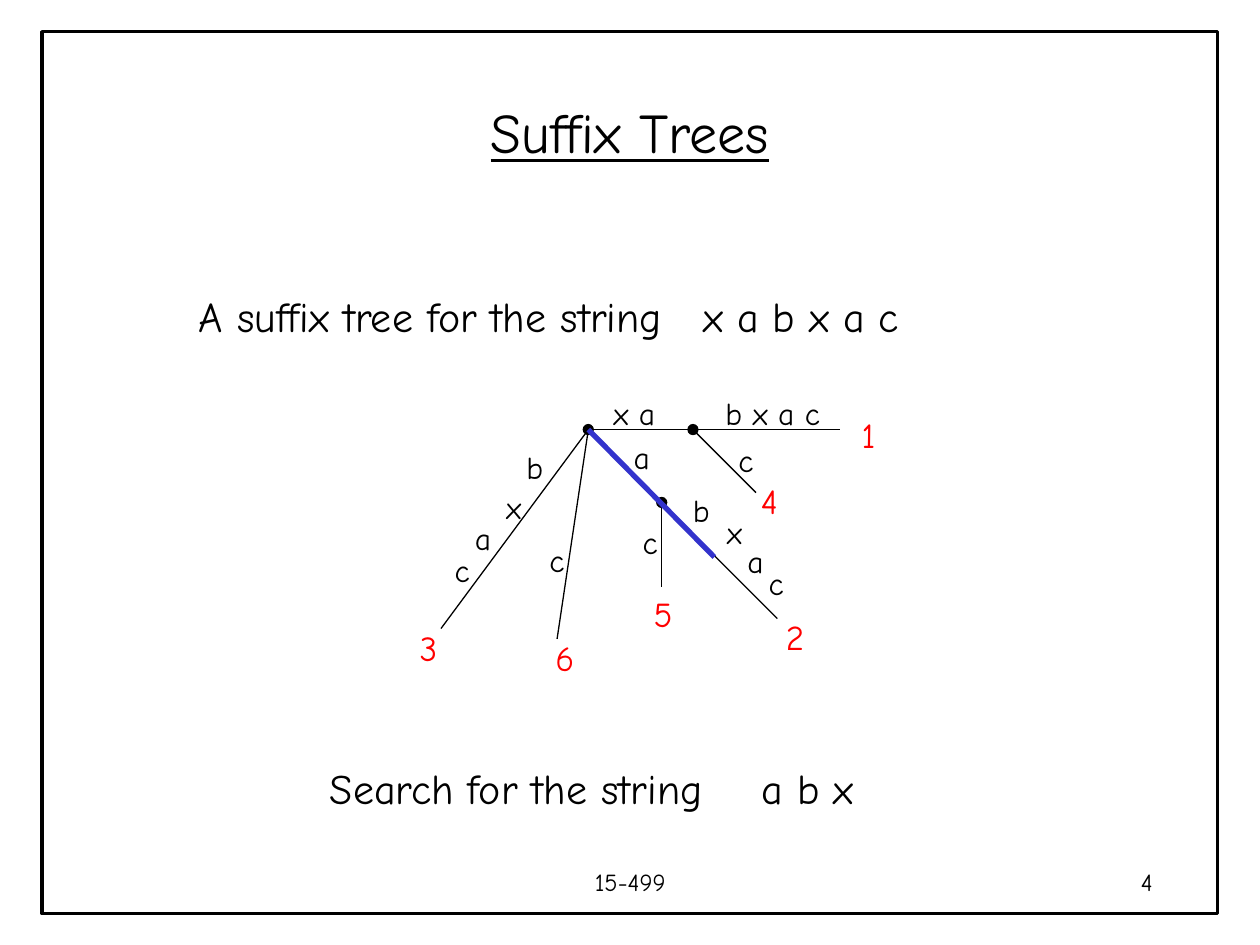
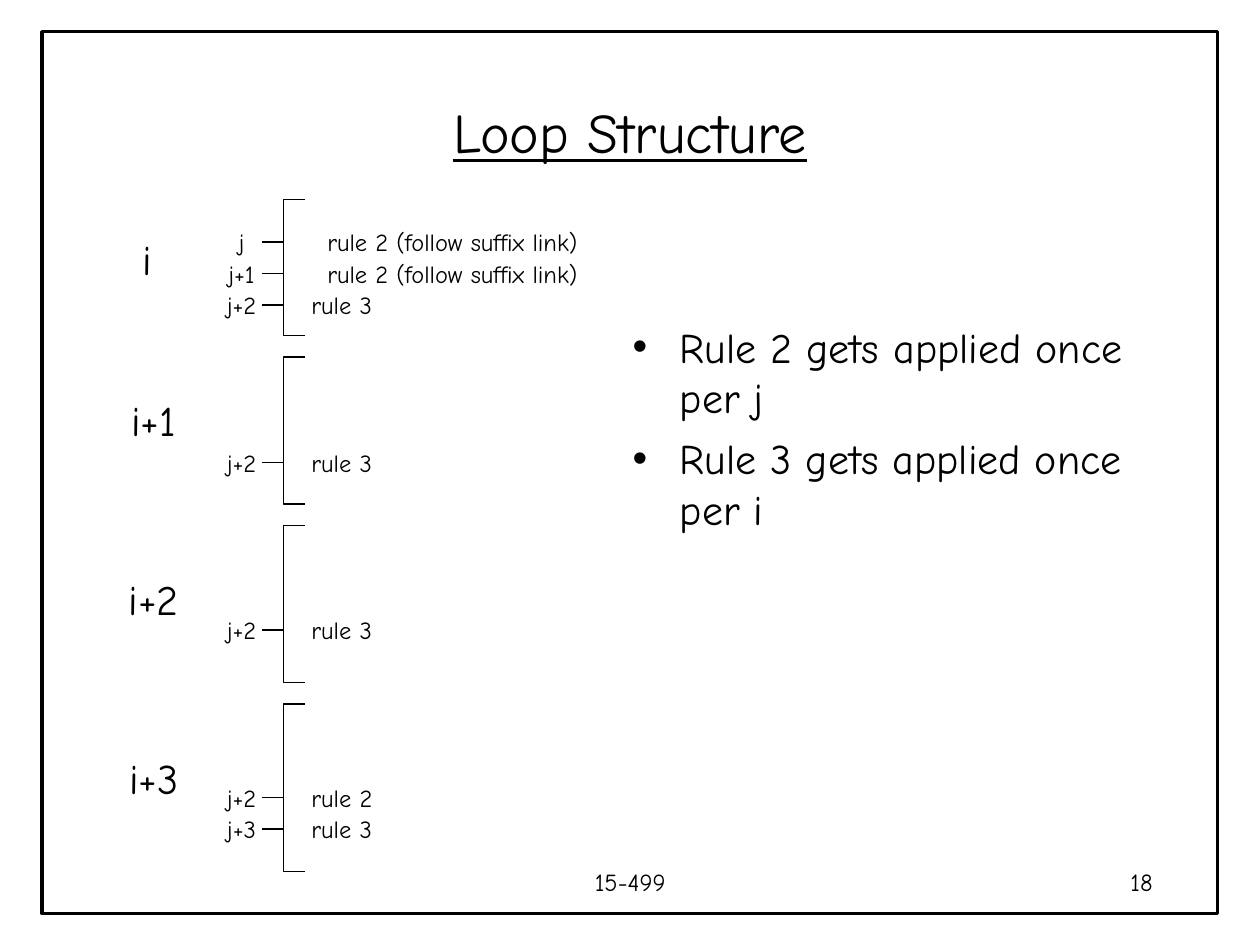
from pptx import Presentation
from pptx.dml.color import RGBColor
from pptx.enum.shapes import MSO_CONNECTOR as Link, MSO_SHAPE as Form
from pptx.enum.text import MSO_ANCHOR as Anchor, MSO_AUTO_SIZE as Fit, PP_ALIGN as Align
from pptx.oxml.xmlchemy import OxmlElement as Node
from pptx.util import Cm, Pt

rgb = RGBColor.from_string
BLACK, RED, BLUE = "000000", "FF0000", "3333CC"
FONT = "Comic Neue"


def write(slide, words, x, y, w, h, box=None, size=14, color=BLACK,
          align=Align.CENTER, anchor=Anchor.MIDDLE, under=None, tab=None):
    box = box or slide.shapes.add_textbox(0, 0, 0, 0)
    box.left, box.top, box.width, box.height = Cm(x), Cm(y), Cm(w), Cm(h)
    frame = box.text_frame
    frame.text = words
    frame.word_wrap = True
    frame.auto_size = Fit.NONE
    frame.vertical_anchor = anchor
    for par in frame.paragraphs:
        par.alignment = align
        for run in par.runs:
            font = run.font
            font.name, font.size, font.underline = FONT, Pt(size), under
            font.color.rgb = rgb(color)
        if tab:
            stops = Node("a:tabLst")
            stop = Node("a:tab")
            stop.set("pos", str(Cm(tab)))
            stop.set("algn", "l")
            stops.append(stop)
            par._p.get_or_add_pPr().append(stops)
    return frame


def link(slide, start, end, color=BLACK, width=0.75):
    line = slide.shapes.add_connector(
        Link.STRAIGHT, *[Cm(n) for n in (*start, *end)])
    line.line.color.rgb = rgb(color)
    line.line.width = Pt(width)
    line._element.spPr.append(Node("a:effectLst"))


deck = Presentation()
deck.slide_width, deck.slide_height = Cm(25.4), Cm(19.05)
tree = deck.slides.add_slide(deck.slide_layouts[5])
loop = deck.slides.add_slide(deck.slide_layouts[1])

edge = tree.shapes.add_shape(Form.RECTANGLE, Cm(0.85), Cm(0.64), Cm(23.7), Cm(17.78))
edge.shadow.inherit = False
edge.fill.background()
edge.line.color.rgb = rgb(BLACK)
edge.line.width = Pt(2)
edge.element.nvSpPr.cNvPr.set("id", "99")
deck.slide_master.shapes.element.insert(2, edge.element)

for slide, title, page in [(tree, "Suffix Trees", "4"), (loop, "Loop Structure", "18")]:
    write(slide, title, 1.9, 1.7, 21.6, 1.9, box=slide.shapes.title, size=32, under=True)
    write(slide, "15-499", 8.68, 17.35, 8.05, 0.86)
    write(slide, page, 18.21, 17.35, 5.28, 0.86, align=Align.RIGHT)

root, right, low = (11.86, 8.66), (13.97, 8.66), (13.34, 10.13)
for x, y in [root, right, low]:
    dot = tree.shapes.add_shape(Form.OVAL, Cm(x - 0.1), Cm(y - 0.1), Cm(0.2), Cm(0.2))
    dot.shadow.inherit = False
    dot.fill.solid()
    dot.fill.fore_color.rgb = rgb(BLACK)
    dot.line.color.rgb = rgb(BLACK)
    dot.line.width = Pt(0.75)

for start, end in [
    (root, (16.94, 8.66)), (root, (15.67, 12.47)), (root, (8.89, 12.67)),
    (root, (11.23, 12.88)), (low, (13.34, 11.84)), (right, (15.24, 9.93)),
]:
    link(tree, start, end)

marks = [
    ("x a", 12.79, 8.33), ("b x a c", 15.58, 8.33), ("c", 15.04, 9.27),
    ("a", 12.94, 9.22), ("b", 14.14, 10.29), ("x", 14.81, 10.72),
    ("a", 15.23, 11.3), ("c", 15.65, 11.76), ("c", 13.11, 10.92),
    ("c", 11.23, 11.28), ("b", 10.78, 9.42), ("x", 10.36, 10.21),
    ("a", 9.74, 10.85), ("c", 9.32, 11.48),
]
leaves = [
    ("1", 17.51, 8.76), ("2", 16.03, 12.83), ("3", 8.64, 13.06),
    ("4", 15.51, 10.08), ("5", 13.37, 12.37), ("6", 11.39, 13.26),
]
for group, size, color in [(marks, 18, BLACK), (leaves, 20, RED)]:
    for word, x, y in group:
        write(tree, word, x - 1.3, y - 0.5, 2.6, 1, size=size, color=color)

write(tree, "A suffix tree for the string\tx a b x a c", 3.76, 5.72, 16, 1.27,
      size=24, align=Align.LEFT, tab=10.17)
write(tree, "Search for the string\ta b x", 6.4, 15.24, 13, 1.27,
      size=24, align=Align.LEFT, tab=8.7)
link(tree, root, (14.4, 11.23), color=BLUE, width=3)

body = write(loop, "Rule 2 gets applied once per j\nRule 3 gets applied once per i",
             12.5, 6.35, 11, 11, box=loop.placeholders[1], size=24,
             align=Align.LEFT, anchor=Anchor.TOP)
for par in body.paragraphs:
    par.space_before = Pt(6)
    props = par._p.get_or_add_pPr()
    props.set("marL", str(Cm(0.95)))
    props.set("indent", str(Cm(-0.95)))

follow = "rule 2 (follow suffix link)"
phases = [
    ("i", 2.96, 5.21, [("j", 4.88, follow), ("j+1", 5.51, follow), ("j+2", 6.15, "rule 3")]),
    ("i+1", 3.1, 8.46, [("j+2", 9.32, "rule 3")]),
    ("i+2", 3.1, 12.07, [("j+2", 12.7, "rule 3")]),
    ("i+3", 3.1, 15.67, [("j+2", 16.08, "rule 2"), ("j+3", 16.71, "rule 3")]),
]
top, tall = 4.02, 2.75
for name, x, mid, steps in phases:
    end = top + tall
    pen = loop.shapes.build_freeform(Cm(6.14), Cm(top))
    pen.add_line_segments(
        [(Cm(5.72), Cm(top)), (Cm(5.72), Cm(end)), (Cm(6.14), Cm(end))], close=False)
    brace = pen.convert_to_shape()
    brace.shadow.inherit = False
    brace.fill.background()
    brace.line.color.rgb = rgb(BLACK)
    brace.line.width = Pt(0.75)
    top, tall = end + 0.43, tall + 0.21

    write(loop, name, x - 1, mid - 0.63, 2, 1.27, size=24)
    for step, y, rule in steps:
        link(loop, (5.28, y), (5.72, y))
        write(loop, step, 4.12, y - 0.43, 1.5, 0.86)
        left = 6.35 if rule == follow else 6.03
        write(loop, rule, left, y - 0.43, 6, 0.86, align=Align.LEFT)

deck.save("out.pptx")
